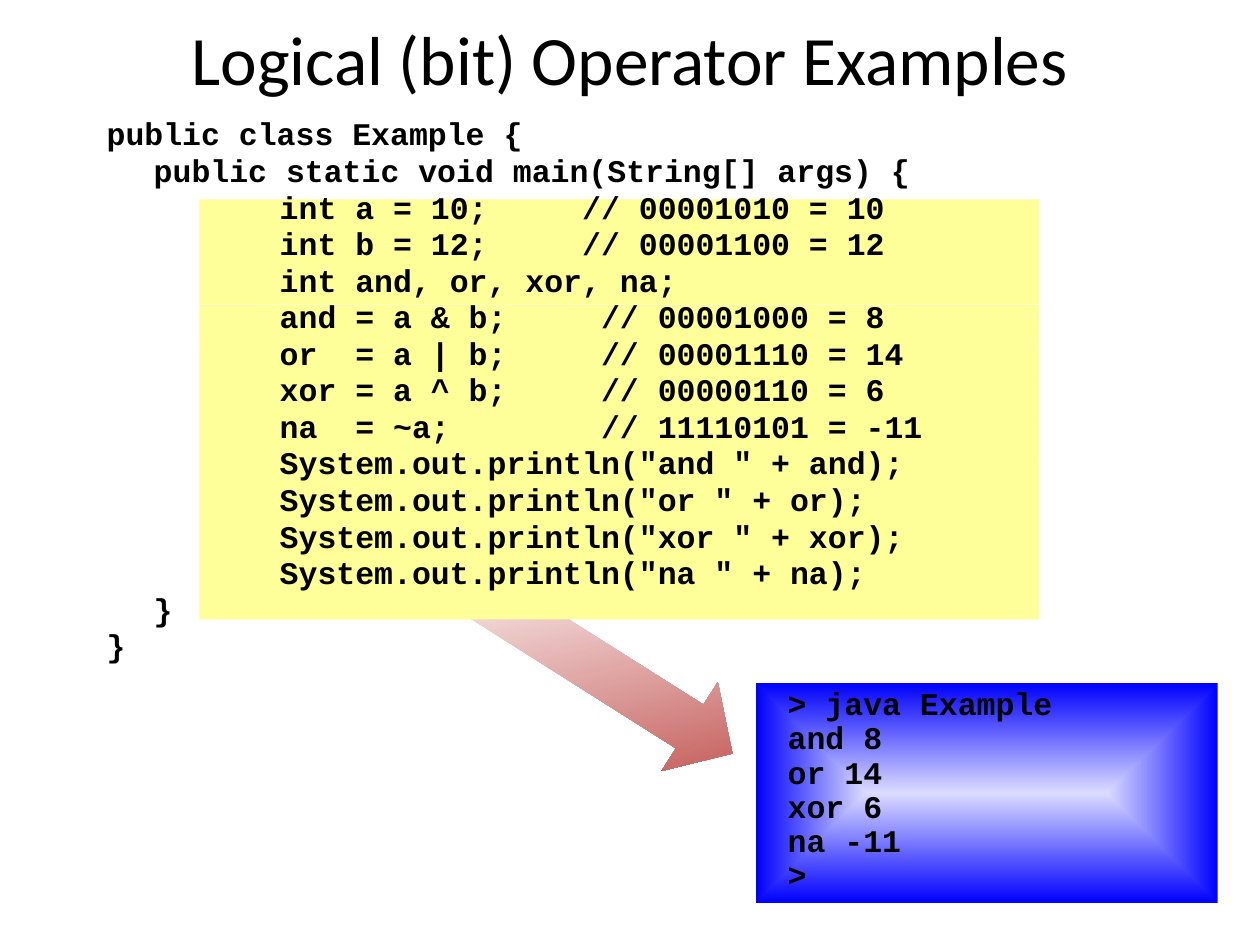
from dataclasses import dataclass

from pptx import Presentation
from pptx.dml.color import RGBColor
from pptx.enum.shapes import MSO_SHAPE
from pptx.enum.text import MSO_ANCHOR, PP_ALIGN
from pptx.oxml import parse_xml
from pptx.oxml.ns import nsdecls, qn
from pptx.util import Cm, Pt

RECT, ARROW = MSO_SHAPE.RECTANGLE, MSO_SHAPE.RIGHT_ARROW
TOP, MIDDLE = MSO_ANCHOR.TOP, MSO_ANCHOR.MIDDLE
LEFT, CENTER = PP_ALIGN.LEFT, PP_ALIGN.CENTER

BLACK = RGBColor(0x00, 0x00, 0x00)
WHITE = RGBColor(0xFF, 0xFF, 0xFF)
YELLOW = RGBColor(0xFF, 0xFF, 0x99)
RED = RGBColor(0xC0, 0x50, 0x4D)
PALE = RGBColor(0xDB, 0xDB, 0xFF)
BLUE = RGBColor(0x00, 0x00, 0xFF)

INDENTS = (0, 0.95, 3.49)  # cm, by nesting level


@dataclass
class Box:
    left: float
    top: float
    width: float
    height: float

    def place(self) -> tuple:
        return Cm(self.left), Cm(self.top), Cm(self.width), Cm(self.height)


@dataclass
class Line:
    text: str
    level: int = 0


@dataclass
class Style:
    font: str
    size: float
    bold: bool = False
    align: PP_ALIGN = LEFT
    pitch: float = 1.0
    before: float = 0


TITLE = Style("Calibri", 39.6, align=CENTER)
CODE = Style("Courier New", 18, bold=True, pitch=0.8, before=3.6)
SHELL = Style("Courier New", 18, bold=True, pitch=0.9)

STRIPS = [Box(4.02, top, 16.93, height) for top, height in (
    (8.47, 0.85), (6.77, 0.85), (4.02, 2.12),
    (6.14, 0.85), (7.62, 0.85), (9.31, 3.18))]

BODY = (
    "int a = 10;     // 00001010 = 10",
    "int b = 12;     // 00001100 = 12",
    "int and, or, xor, na;",
    "and = a & b;     // 00001000 = 8",
    "or  = a | b;     // 00001110 = 14",
    "xor = a ^ b;     // 00000110 = 6",
    "na  = ~a;        // 11110101 = -11",
    'System.out.println("and " + and);',
    'System.out.println("or " + or);',
    'System.out.println("xor " + xor);',
    'System.out.println("na " + na);',
)
SOURCE = [
    Line("public class Example {"),
    Line("public static void main(String[] args) {", 1),
    *(Line(text, 2) for text in BODY),
    Line("}", 1),
    Line("}"),
]
OUTPUT = [Line(text) for text in (
    "> java Example", "and 8", "or 14", "xor 6", "na -11", ">")]


def write(shape, lines: list[Line], style: Style, anchor=TOP) -> None:
    frame = shape.text_frame
    frame.word_wrap = True
    frame.vertical_anchor = anchor
    for i, line in enumerate(lines):
        para = frame.add_paragraph() if i else frame.paragraphs[0]
        para.alignment = style.align
        para.line_spacing = style.pitch
        para.space_before = Pt(style.before)
        if line.level:
            para._p.get_or_add_pPr().set("marL", str(Cm(INDENTS[line.level])))
        run = para.add_run()
        run.text = line.text
        run.font.name = style.font
        run.font.size = Pt(style.size)
        run.font.bold = style.bold
        run.font.color.rgb = BLACK


def add_form(slide, kind: MSO_SHAPE, box: Box):
    """Add a preset shape without outline or shadow."""
    shape = slide.shapes.add_shape(kind, *box.place())
    shape.shadow.inherit = False
    shape.line.fill.background()
    return shape


def blend(shape, first: RGBColor, last: RGBColor, angle: float = 0) -> None:
    shape.fill.gradient()
    shape.fill.gradient_angle = angle
    for stop, color, spot in zip(shape.fill.gradient_stops, (first, last), (0, 1)):
        stop.color.rgb = color
        stop.position = spot


def center_blend(shape) -> None:
    """Make the gradient spread from the middle to the edges."""
    grad = shape._element.spPr.find(qn("a:gradFill"))
    grad.replace(grad.find(qn("a:lin")), parse_xml(
        f'<a:path {nsdecls("a")} path="shape">'
        '<a:fillToRect l="50000" t="50000" r="50000" b="50000"/></a:path>'))


def main() -> None:
    deck = Presentation()
    deck.slide_width, deck.slide_height = Cm(25.4), Cm(19.05)
    slide = deck.slides.add_slide(deck.slide_layouts[6])

    title = slide.shapes.add_textbox(*Box(1.9, 0.42, 21.6, 1.48).place())
    write(title, [Line("Logical (bit) Operator Examples")], TITLE, MIDDLE)

    arrow = add_form(slide, ARROW, Box(9.1, 12.49, 6.14, 2.12))
    arrow.rotation = 32.3
    arrow.adjustments[0] = 0.49
    arrow.adjustments[1] = 0.48
    blend(arrow, WHITE, RED, 315)

    for box in STRIPS:
        strip = add_form(slide, RECT, box)
        strip.fill.solid()
        strip.fill.fore_color.rgb = YELLOW

    code = slide.shapes.add_textbox(*Box(1.9, 2.33, 17.36, 12.28).place())
    write(code, SOURCE, CODE)

    shell = add_form(slide, RECT, Box(15.24, 13.76, 9.31, 4.45))
    blend(shell, PALE, BLUE)
    center_blend(shell)
    write(shell, OUTPUT, SHELL)
    shell.text_frame.margin_left = Cm(0.64)

    deck.save("out.pptx")


if __name__ == "__main__":
    main()
